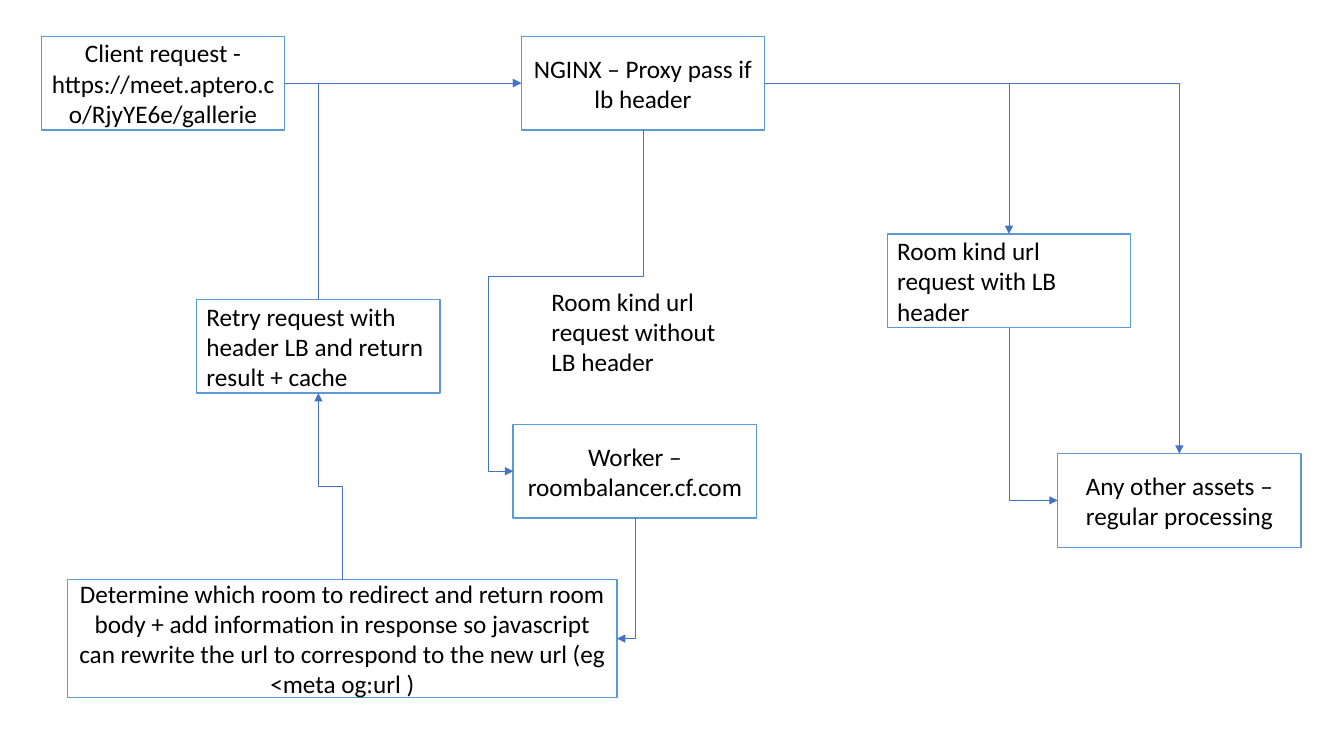
from lxml import etree
from pptx import Presentation
from pptx.dml.color import RGBColor
from pptx.enum.shapes import MSO_CONNECTOR, MSO_SHAPE
from pptx.enum.text import MSO_ANCHOR, PP_ALIGN
from pptx.oxml.ns import qn
from pptx.util import Inches, Pt

RECT, ELBOW = MSO_SHAPE.RECTANGLE, MSO_CONNECTOR.ELBOW
MIDDLE, LEFT, CENTER = MSO_ANCHOR.MIDDLE, PP_ALIGN.LEFT, PP_ALIGN.CENTER
TOP, WEST, BOTTOM, EAST = range(4)
COLORS = {"fill": "FFFFFF", "border": "5B9BD5", "arrow": "4472C4", "text": "000000"}
GRID = Inches(0.1)
BOX_W, BOX_H = 24.15, 9.3

prs = Presentation()
prs.slide_width, prs.slide_height = Inches(13.33), Inches(7.5)
s = prs.slides.add_slide(prs.slide_layouts[6])


def cells(*counts):
    return [int(n * GRID) for n in counts]


def write(tf, text, align):
    tf.word_wrap = True
    p = tf.paragraphs[0]
    p.text = text
    p.alignment = align
    p.font.name = "Calibri"
    p.font.size = Pt(18)
    p.font.color.rgb = RGBColor.from_string(COLORS["text"])


boxes = {}
for name, col, row, w, h, align, text in [
    ("client", 4.1, 3.6, BOX_W, BOX_H, CENTER,
     "Client request - https://meet.aptero.co/RjyYE6e/gallerie"),
    ("nginx", 51.7, 3.6, BOX_W, BOX_H, CENTER, "NGINX – Proxy pass if lb header"),
    ("worker", 50.9, 42.1, BOX_W, BOX_H, CENTER, "Worker – roombalancer.cf.com"),
    ("redirect", 6.7, 57.5, 54.5, 11.7, CENTER,
     "Determine which room to redirect and return room body + add information in "
     "response so javascript can rewrite the url to correspond to the new url "
     "(eg <meta og:url )"),
    ("retry", 19.5, 29.7, BOX_W, BOX_H, LEFT,
     "Retry request with header LB and return result + cache"),
    ("room", 88, 23.2, BOX_W, BOX_H, LEFT, "Room kind url request with LB header"),
    ("assets", 104.9, 45, BOX_W, BOX_H, CENTER, "Any other assets – regular processing"),
]:
    sp = s.shapes.add_shape(RECT, *cells(col, row, w, h))
    sp.shadow.inherit = False
    sp.fill.solid()
    sp.fill.fore_color.rgb = RGBColor.from_string(COLORS["fill"])
    sp.line.color.rgb = RGBColor.from_string(COLORS["border"])
    sp.line.width = Pt(1)
    sp.text_frame.vertical_anchor = MIDDLE
    write(sp.text_frame, text, align)
    boxes[name] = sp

label = s.shapes.add_textbox(*cells(53.7, 27.9, 20.6, 10.1))
write(label.text_frame, "Room kind url request without LB header", LEFT)

for start, start_site, end, end_site, bends, turn, flips, adjusts in [
    ("client", EAST, "nginx", WEST, 3, 0, "", [0.5]),
    ("nginx", BOTTOM, "worker", WEST, 4, 90, "", [0.43, 1.19]),
    ("worker", BOTTOM, "redirect", EAST, 2, 90, "", []),
    ("redirect", TOP, "retry", BOTTOM, 3, 270, "V", [0.5]),
    ("retry", TOP, "nginx", WEST, 2, 90, "HV", []),
    ("nginx", EAST, "room", TOP, 2, 0, "", []),
    ("nginx", EAST, "assets", TOP, 2, 0, "", []),
    ("room", BOTTOM, "assets", WEST, 2, 270, "H", []),
]:
    c = s.shapes.add_connector(ELBOW, 0, 0, 0, 0)
    c.begin_connect(boxes[start], start_site)
    c.end_connect(boxes[end], end_site)
    mid_x, mid_y = (c.begin_x + c.end_x) // 2, (c.begin_y + c.end_y) // 2
    w, h = abs(c.end_x - c.begin_x), abs(c.end_y - c.begin_y)
    if turn:
        w, h = h, w
    c.left, c.top, c.width, c.height = mid_x - w // 2, mid_y - h // 2, w, h
    spPr = c._element.spPr
    xfrm = spPr.find(qn("a:xfrm"))
    xfrm.set("rot", str(turn * 60000))
    for axis in "HV":
        xfrm.set("flip" + axis, str(int(axis in flips)))
    geom = spPr.find(qn("a:prstGeom"))
    geom.set("prst", f"bentConnector{bends}")
    guides = geom.find(qn("a:avLst"))
    for i, share in enumerate(adjusts, 1):
        etree.SubElement(guides, qn("a:gd"), name=f"adj{i}",
                         fmla=f"val {round(share * 100000)}")
    if len(adjusts) == 1:
        guides[0].set("name", "adj1")
    c.line.color.rgb = RGBColor.from_string(COLORS["arrow"])
    c.line.width = Pt(0.5)
    etree.SubElement(c.line._get_or_add_ln(), qn("a:tailEnd"), type="triangle")
    etree.SubElement(spPr, qn("a:effectLst"))

prs.save("out.pptx")
